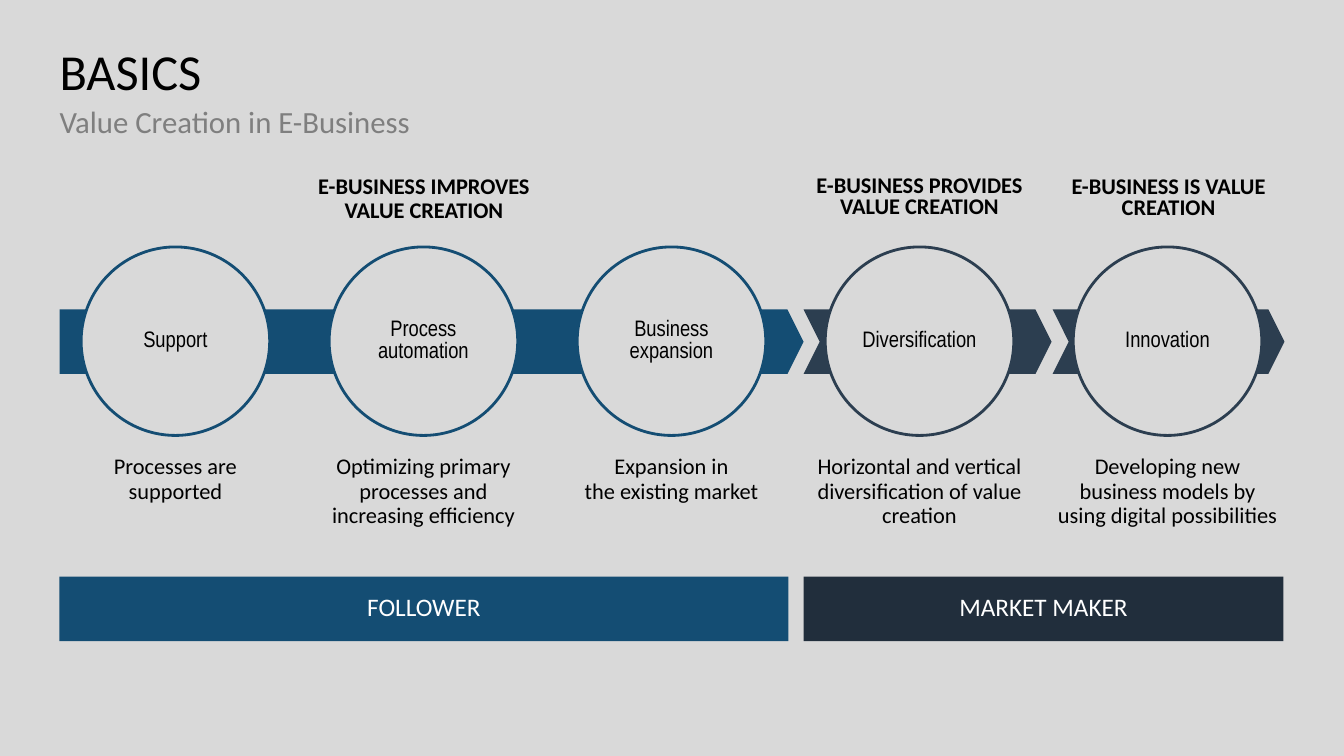
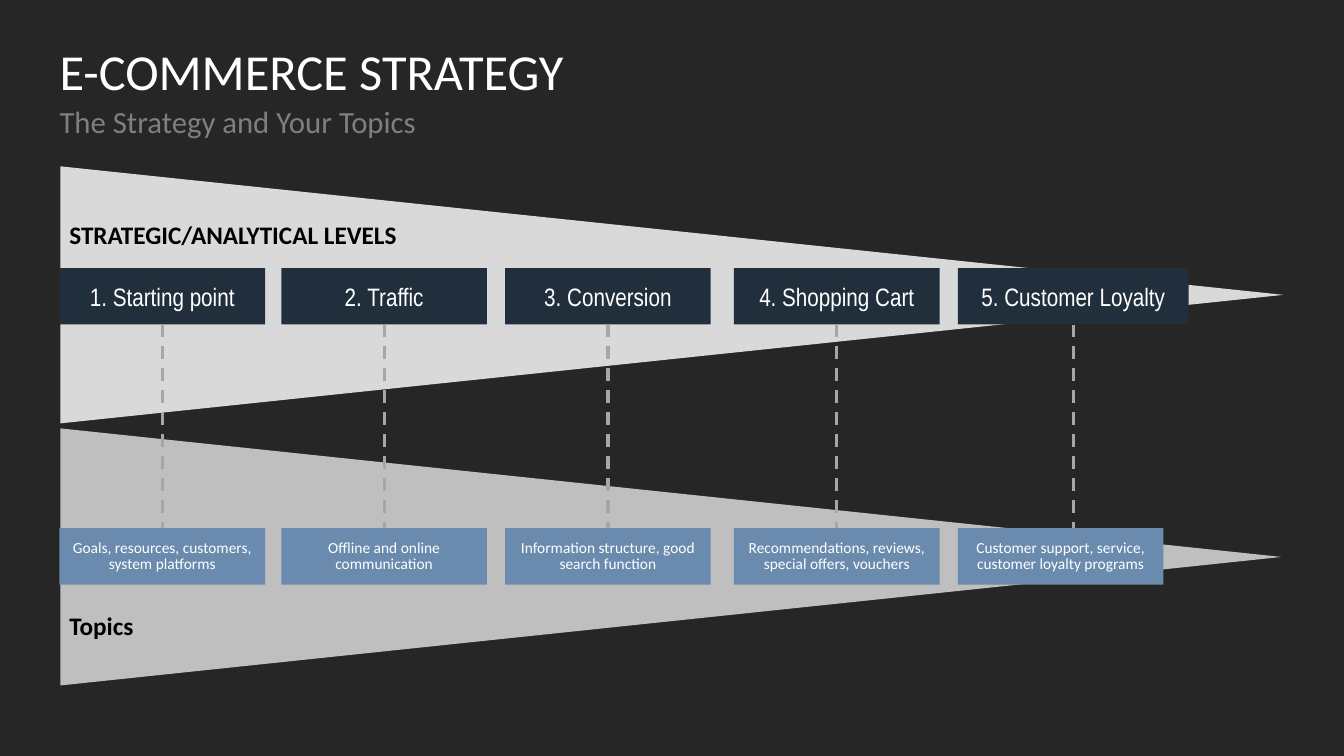
from lxml.etree import SubElement
from pptx import Presentation
from pptx.dml.color import RGBColor
from pptx.enum.dml import MSO_LINE
from pptx.enum.shapes import MSO_CONNECTOR, MSO_SHAPE
from pptx.enum.text import MSO_ANCHOR, MSO_AUTO_SIZE, PP_ALIGN
from pptx.oxml.ns import qn
from pptx.util import Inches, Pt

# Shared colours, fonts and margins
BLACK, WHITE, GRAY = "000000", "FFFFFF", "7F7F7F"
LIGHT, SILVER, DASH_GRAY, CHARCOAL = "D9D9D9", "BFBFBF", "A6A6A6", "262626"
BLUE, SLATE, NAVY, STEEL = "144D73", "2C3E50", "212E3C", "6A8BAD"
BODY_FONT, NARROW_FONT = "Calibri", "Arial Narrow"
LEFT, CONTENT_WIDTH = 0.59, 12.15


def color(hex_string):
    return RGBColor.from_string(hex_string)


def write_text(shape, text, size, text_color, font=BODY_FONT, bold=False,
               align=PP_ALIGN.CENTER, anchor=MSO_ANCHOR.MIDDLE,
               spacing=0.9, after=0, inset=0.0):
    """Fill a shape with one formatted paragraph."""
    frame = shape.text_frame
    frame.word_wrap = True
    frame.auto_size = MSO_AUTO_SIZE.NONE
    frame.vertical_anchor = anchor
    frame.margin_left = frame.margin_right = Inches(inset)
    frame.margin_top = frame.margin_bottom = Inches(inset)
    paragraph = frame.paragraphs[0]
    paragraph.text = text
    paragraph.alignment = align
    paragraph.line_spacing = spacing
    paragraph.space_before = Pt(0)
    paragraph.space_after = Pt(after)
    for run in paragraph.runs:
        run.font.name = font
        run.font.size = Pt(size)
        run.font.bold = bold
        run.font.color.rgb = color(text_color)


def add_filled(slide, preset, box, fill, line=None):
    """Add a flat preset shape; box is left, top, width, height in inches."""
    shape = slide.shapes.add_shape(preset, *map(Inches, box))
    shape.shadow.inherit = False
    shape.fill.solid()
    shape.fill.fore_color.rgb = color(fill)
    if line:
        shape.line.color.rgb = color(line)
        shape.line.width = Pt(2)
    else:
        shape.line.fill.background()
    return shape


def add_label(slide, box, text, size, text_color=BLACK, **style):
    label = slide.shapes.add_textbox(*map(Inches, box))
    write_text(label, text, size, text_color, **style)


def add_titled_slide(presentation, background, title, title_color, subtitle):
    """Add a slide with its background, title and subtitle."""
    slide = presentation.slides.add_slide(presentation.slide_layouts[1])
    slide.background.fill.solid()
    slide.background.fill.fore_color.rgb = color(background)
    subtitle_shape = slide.placeholders[1]
    properties = subtitle_shape.text_frame.paragraphs[0]._p.get_or_add_pPr()
    properties.set("marL", "0")
    properties.set("indent", "0")
    SubElement(properties, qn("a:buNone"))
    headings = (
        (slide.shapes.title, 0.47, 1.18, title, 36, title_color),
        (subtitle_shape, 1.06, 0.59, subtitle, 22, GRAY),
    )
    for shape, top, height, text, size, text_color in headings:
        shape.left, shape.top = Inches(LEFT), Inches(top)
        shape.width, shape.height = Inches(CONTENT_WIDTH), Inches(height)
        write_text(shape, text, size, text_color,
                   align=PP_ALIGN.LEFT, anchor=MSO_ANCHOR.TOP)
    return slide


# Slide 1: value creation
def add_arrow_band(slide, top, height):
    arrows = (
        (MSO_SHAPE.CHEVRON, 10.44, 2.3, SLATE),
        (MSO_SHAPE.CHEVRON, 7.97, 2.46, SLATE),
        (MSO_SHAPE.PENTAGON, LEFT, 7.38, BLUE),
    )
    for preset, left, width, fill in arrows:
        arrow = add_filled(slide, preset, (left, top, width, height), fill)
        arrow.adjustments[0] = 0.25


def add_stage(slide, left, width, name, description, outline):
    """Add a circle and the description below it, centred in one column."""
    diameter = 1.87
    circle_left = left + (width - diameter) / 2
    circle = add_filled(slide, MSO_SHAPE.OVAL,
                        (circle_left, 2.45, diameter, diameter), LIGHT, outline)
    write_text(circle, name, 16, BLACK, font=NARROW_FONT, spacing=0.8, after=10)
    add_label(slide, (left, 4.48, width, 1.06), description, 16,
              anchor=MSO_ANCHOR.TOP, after=10, inset=0.04)


def add_value_creation_slide(presentation):
    slide = add_titled_slide(presentation, LIGHT, "BASICS", BLACK,
                             "Value Creation in E-Business")
    add_arrow_band(slide, 3.07, 0.64)

    # Headings above the arrows
    headings = (
        (0.6, 1.66, 7.21, 0.9, """E-BUSINESS IMPROVES
VALUE CREATION"""),
        (7.97, 1.64, 2.3, 0.8, "E-BUSINESS PROVIDES VALUE CREATION"),
        (10.44, 1.65, 2.3, 0.8, "E-BUSINESS IS VALUE CREATION"),
    )
    for left, top, width, spacing, text in headings:
        add_label(slide, (left, top, width, 0.64), text, 16, bold=True,
                  spacing=spacing, inset=0.04)

    # Stages
    stages = (
        ("Support", """Processes are
supported""", BLUE),
        ("Process automation",
         "Optimizing primary processes and increasing efficiency", BLUE),
        ("Business expansion", """Expansion in
the existing market""", BLUE),
        ("Diversification",
         "Horizontal and vertical diversification of value creation", SLATE),
        ("Innovation",
         "Developing new business models by using digital possibilities", SLATE),
    )
    for index, (name, description, outline) in enumerate(stages):
        add_stage(slide, LEFT + 2.46 * index, 2.3, name, description, outline)

    # Role bars
    roles = ((LEFT, 7.23, BLUE, "FOLLOWER"), (7.97, 4.76, NAVY, "MARKET MAKER"))
    for left, width, fill, text in roles:
        bar = add_filled(slide, MSO_SHAPE.RECTANGLE, (left, 5.72, width, 0.64), fill)
        write_text(bar, text, 18, WHITE, after=10, inset=0.04)


# Slide 2: strategy levels and topics
def add_wedge(slide, left, top, width, height, fill):
    """Add a triangle that points right and fills the given box."""
    center_x, center_y = left + width / 2, top + height / 2
    box = (center_x - height / 2, center_y - width / 2, height, width)
    wedge = add_filled(slide, MSO_SHAPE.FLOWCHART_MERGE, box, fill)
    wedge.rotation = 270


def add_dashed_link(slide, level, topic):
    """Drop a dashed line from a level box to its topic box."""
    center = level.left + level.width // 2
    link = slide.shapes.add_connector(
        MSO_CONNECTOR.STRAIGHT, center, level.top + level.height, center, topic.top)
    link.begin_connect(level, 2)
    if level.width == topic.width:
        link.end_connect(topic, 0)
    link.line.color.rgb = color(DASH_GRAY)
    link.line.width = Pt(2.25)
    link.line.dash_style = MSO_LINE.DASH
    SubElement(link._element.spPr, qn("a:effectLst"))


def add_strategy_slide(presentation):
    slide = add_titled_slide(presentation, CHARCOAL, "E-COMMERCE STRATEGY", WHITE,
                             "The Strategy and Your Topics")
    add_wedge(slide, 0.6, 1.65, 12.13, 2.55, LIGHT)
    add_wedge(slide, 0.6, 4.25, 12.11, 2.55, SILVER)

    # Level boxes linked to topic boxes
    columns = (
        (LEFT, 2.04, "1. Starting point",
         "Goals, resources, customers, system platforms"),
        (2.79, 2.04, "2. Traffic", "Offline and online communication"),
        (5.01, 2.04, "3. Conversion", "Information structure, good search function"),
        (7.28, 2.04, "4. Shopping Cart",
         "Recommendations, reviews, special offers, vouchers"),
        (9.5, 2.29, "5. Customer Loyalty",
         "Customer support, service, customer loyalty programs"),
    )
    for left, level_width, level_text, topic_text in columns:
        level = add_filled(slide, MSO_SHAPE.RECTANGLE,
                           (left, 2.66, level_width, 0.56), NAVY)
        write_text(level, level_text, 18, WHITE, font=NARROW_FONT, spacing=1.0)
        topic = add_filled(slide, MSO_SHAPE.RECTANGLE, (left, 5.24, 2.04, 0.56), STEEL)
        write_text(topic, topic_text, 11, WHITE, after=10)
        add_dashed_link(slide, level, topic)

    # Wedge labels
    for top, text in ((2.13, "STRATEGIC/ANALYTICAL LEVELS"), (6.01, "Topics")):
        add_label(slide, (LEFT, top, 4.24, 0.4), text, 18, bold=True,
                  align=PP_ALIGN.LEFT, spacing=1.0, inset=0.1)


def main():
    presentation = Presentation()
    presentation.slide_width = Inches(13.33)
    presentation.slide_height = Inches(7.5)
    add_value_creation_slide(presentation)
    add_strategy_slide(presentation)
    presentation.save("out.pptx")


if __name__ == "__main__":
    main()
